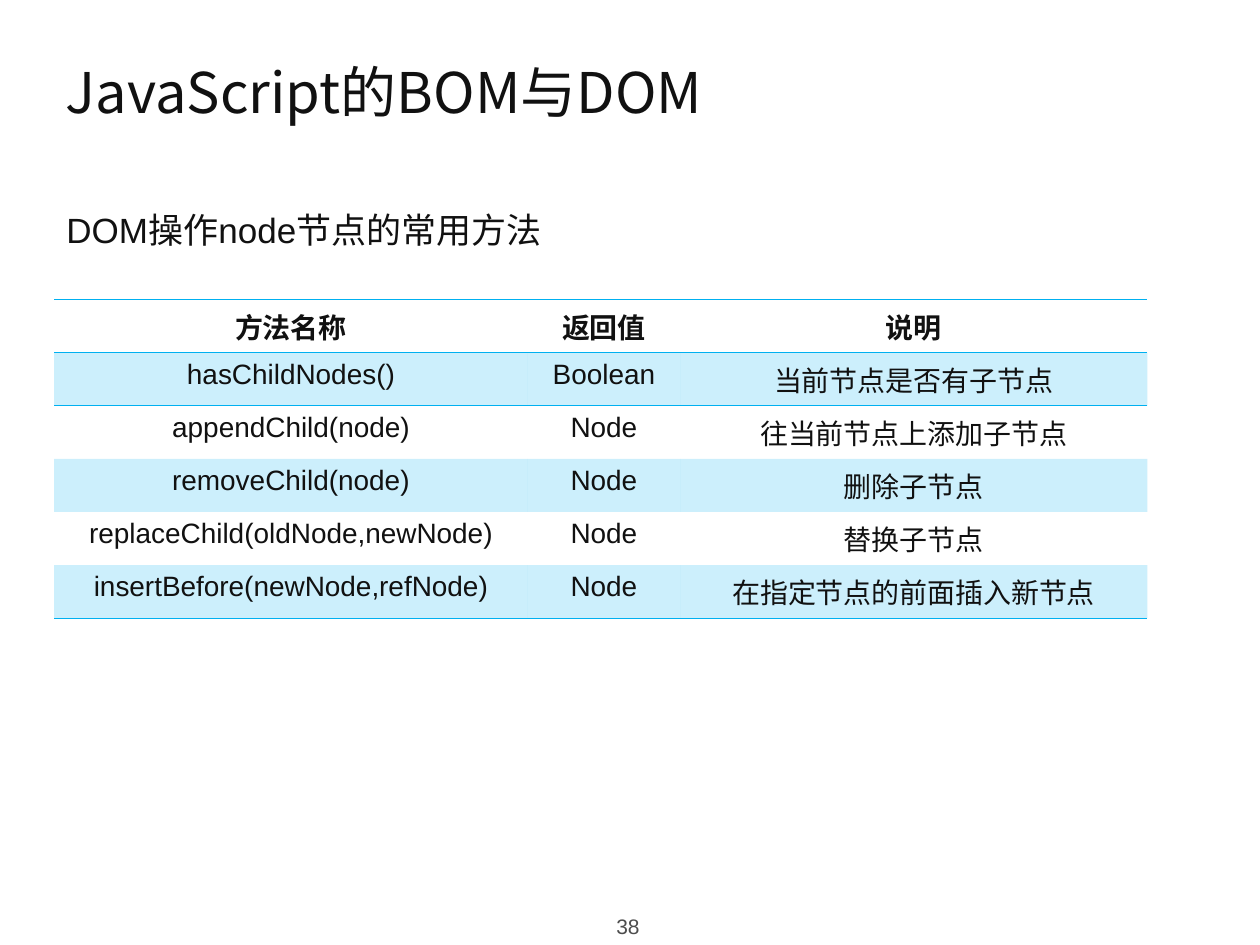
from lxml.etree import SubElement
from pptx import Presentation
from pptx.dml.color import RGBColor
from pptx.enum.text import MSO_ANCHOR, PP_ALIGN
from pptx.oxml.ns import qn
from pptx.util import Cm, Pt

INK = RGBColor(0x11, 0x11, 0x11)
GREY = RGBColor(0x4D, 0x4D, 0x4D)
BLUE = RGBColor(0x00, 0xB0, 0xF0)
HAN = "Noto Sans CJK SC"
PLAIN = "{2D5ABB26-0587-4C30-8999-92F81FD0307C}"
ROWS = [
    ("方法名称", "返回值", "说明"),
    ("hasChildNodes()", "Boolean", "当前节点是否有子节点"),
    ("appendChild(node)", "Node", "往当前节点上添加子节点"),
    ("removeChild(node)", "Node", "删除子节点"),
    ("replaceChild(oldNode,newNode)", "Node", "替换子节点"),
    ("insertBefore(newNode,refNode)", "Node", "在指定节点的前面插入新节点"),
]


class Deck:
    """Hold the style and the current slide."""

    def __init__(self):
        self.show = Presentation()
        self.show.slide_width, self.show.slide_height = Cm(25.4), Cm(19.05)
        self.slide = self.show.slides.add_slide(self.show.slide_layouts[5])

    def put(self, frame, text, size, font="Arial", color=INK, bold=False,
            align=PP_ALIGN.LEFT):
        para = frame.paragraphs[0]
        para.alignment = align
        run = para.add_run()
        run.text = text
        face = run.font
        face.size, face.name, face.bold = Pt(size), font, bold
        face.color.rgb = color
        SubElement(face._element, qn("a:ea"), typeface=HAN)
        return para

    def title(self, text, box):
        shape = self.slide.shapes.title
        shape.left, shape.top, shape.width, shape.height = map(Cm, box)
        shape.text_frame.vertical_anchor = MSO_ANCHOR.MIDDLE
        self.put(shape.text_frame, text, 32, HAN)

    def label(self, text, box, size, anchor=MSO_ANCHOR.TOP, **style):
        frame = self.slide.shapes.add_textbox(*map(Cm, box)).text_frame
        frame.word_wrap = True
        frame.vertical_anchor = anchor
        return self.put(frame, text, size, **style)

    def edge(self, cell, side):
        line = SubElement(cell._tc.get_or_add_tcPr(), qn("a:ln" + side),
                          w=str(Pt(0.45)))
        fill = SubElement(line, qn("a:solidFill"))
        SubElement(fill, qn("a:srgbClr"), val=str(BLUE))

    def shade(self, cell):
        cell.fill.solid()
        cell.fill.fore_color.rgb = BLUE
        tint = cell._tc.tcPr.find(qn("a:solidFill")).find(qn("a:srgbClr"))
        SubElement(tint, qn("a:alpha"), val="20000")

    def table(self, rows, left, top, widths, height):
        frame = self.slide.shapes.add_table(
            len(rows), len(widths), Cm(left), Cm(top),
            Cm(sum(widths)), Cm(height * len(rows)))
        grid = frame.table
        grid.first_row = grid.horz_banding = False
        grid._tbl.tblPr.find(qn("a:tableStyleId")).text = PLAIN
        for col, width in zip(grid.columns, widths):
            col.width = Cm(width)
        for i, row in enumerate(rows):
            grid.rows[i].height = Cm(height)
            for j, text in enumerate(row):
                self.cell(grid.cell(i, j), text, i, len(rows) - 1)

    def cell(self, cell, text, row, last):
        cell.margin_left = cell.margin_right = Cm(0.2)
        cell.margin_top = cell.margin_bottom = Cm(0.13)
        para = self.put(cell.text_frame, text, 16, bold=row == 0,
                        align=PP_ALIGN.CENTER)
        para.space_after = Pt(1.2)
        if row < 2:
            self.edge(cell, "T")
        if row in (0, last):
            self.edge(cell, "B")
        if row % 2:
            self.shade(cell)
        else:
            cell.fill.background()


def main():
    deck = Deck()
    deck.title("JavaScript的BOM与DOM", (1.07, 0.84, 23.22, 2))
    para = deck.label("DOM操作node节点的常用方法", (1.09, 3.65, 23.22, 1.8), 20)
    para.line_spacing, para.space_after = 1.5, Pt(4)
    deck.table(ROWS, 1.09, 6.04, (9.55, 3.07, 9.42), 1.07)
    deck.label("38", (9.7, 18.31, 5.92, 0.74), 12, MSO_ANCHOR.MIDDLE,
               color=GREY, align=PP_ALIGN.CENTER)
    deck.show.save("out.pptx")


if __name__ == "__main__":
    main()
